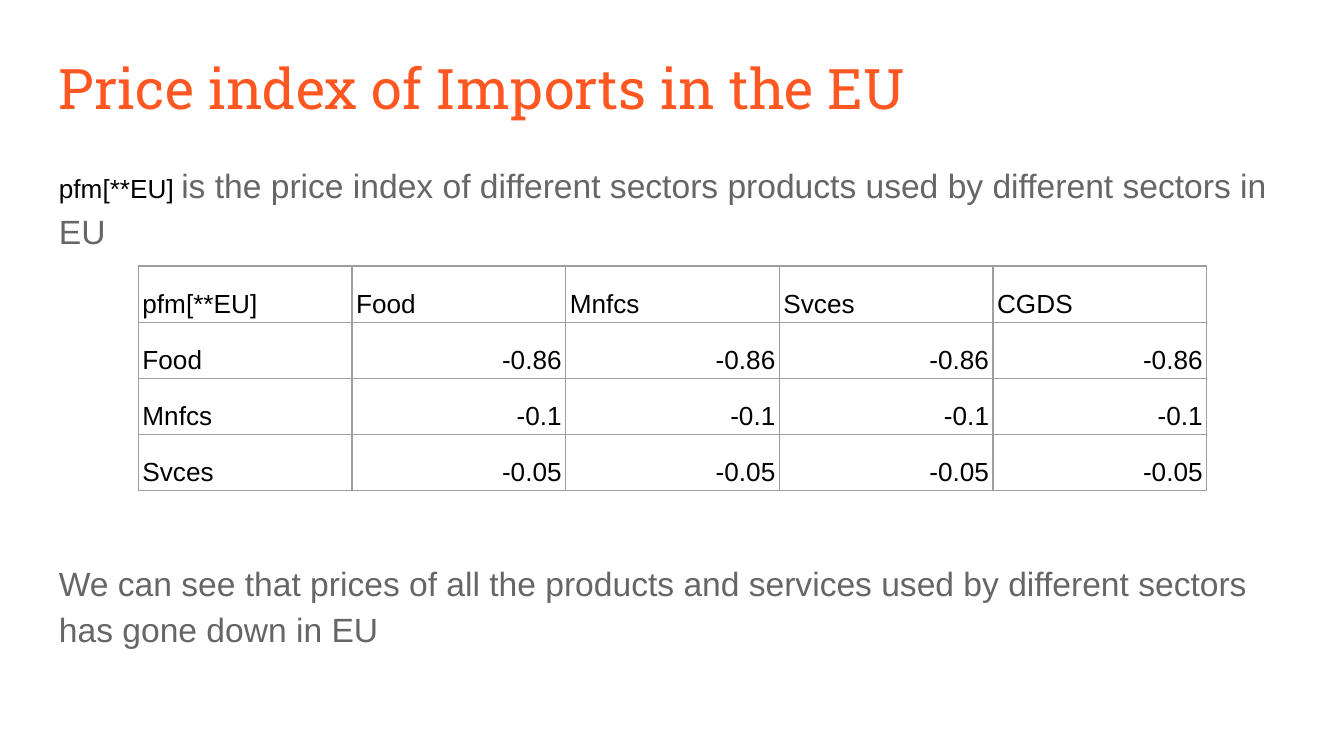
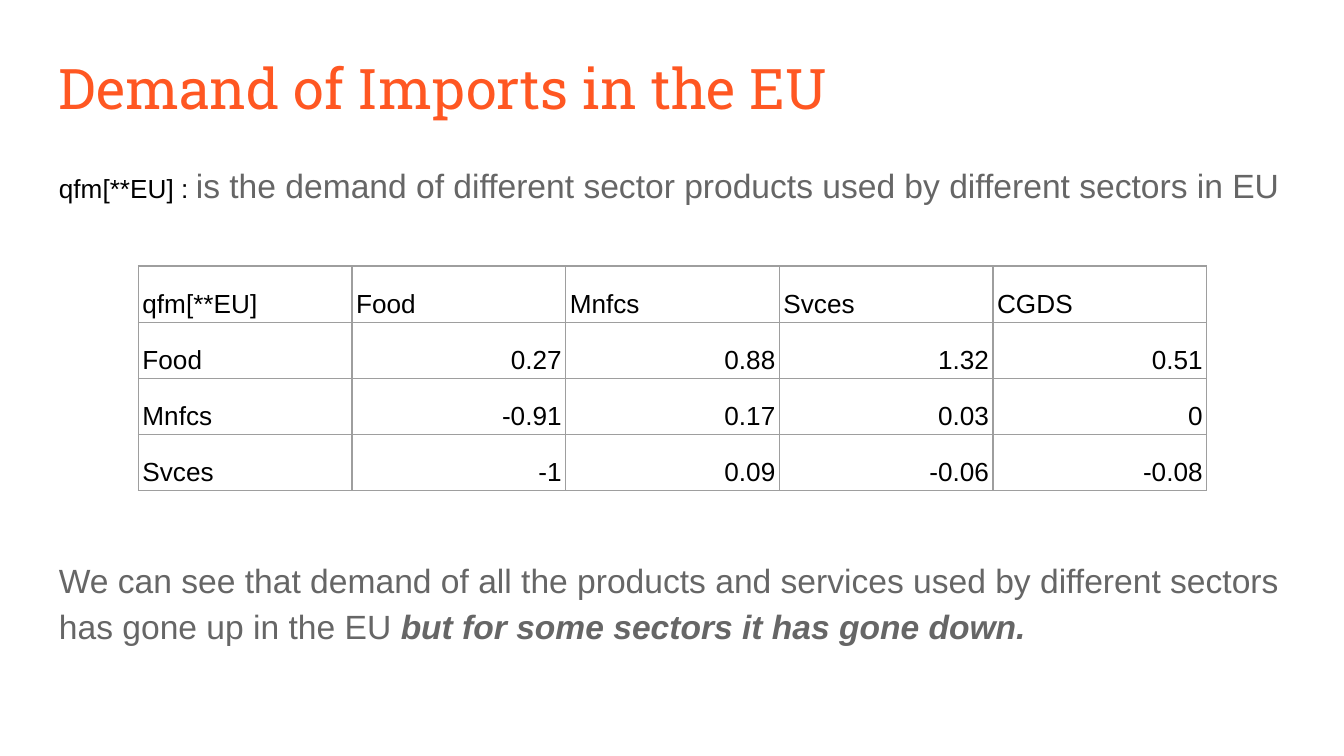
from lxml import etree
from pptx import Presentation
from pptx.dml.color import RGBColor
from pptx.enum import text
from pptx.oxml import ns
from pptx.util import Inches, Pt

ORANGE, GREY, BLACK, BORDER = "FF5722", "666666", "000000", "9E9E9E"
TITLE_STYLE = ("Roboto Slab", 30, ORANGE)
BODY_STYLE = ("Arial", 18, GREY)
CODE_STYLE = ("Arial", 14, BLACK)
LEFT, WIDTH = 0.34, 9.32
COLUMNS = ["Food", "Mnfcs", "Svces", "CGDS"]
COLUMN_WIDTH, ROW_HEIGHT = 1.59, 0.417


def add_run(paragraph, words, style, emphasis=False):
    run = paragraph.add_run()
    run.text = words
    font = run.font
    font.name, font.size = style[0], Pt(style[1])
    font.color.rgb = RGBColor.from_string(style[2])
    font.bold = font.italic = emphasis


def add_text_box(slide, top, height, line_spacing):
    frame = slide.shapes.add_textbox(Inches(LEFT), Inches(top), Inches(WIDTH), Inches(height)).text_frame
    frame.word_wrap = True
    frame.margin_left = frame.margin_right = Inches(0.1)
    frame.margin_top = frame.margin_bottom = Inches(0.1)
    paragraph = frame.paragraphs[0]
    paragraph.line_spacing = line_spacing
    return paragraph


slides = [
    {
        "title": "Price index of Imports in the EU",
        "variable": "pfm[**EU]",
        "separator": " ",
        "definition": "is the price index of different sectors products used by different sectors in EU",
        "rows": [["-0.86"] * 4, ["-0.1"] * 4, ["-0.05"] * 4],
        "finding_top": 4.04,
        "finding": [("We can see that prices of all the products and services used by "
                     "different sectors has gone down in EU", False)],
    },
    {
        "title": "Demand of Imports in the EU",
        "variable": "qfm[**EU]",
        "separator": " : ",
        "definition": "is the demand of different sector products used by different sectors in EU",
        "rows": [["0.27", "0.88", "1.32", "0.51"],
                 ["-0.91", "0.17", "0.03", "0"],
                 ["-1", "0.09", "-0.06", "-0.08"]],
        "finding_top": 4.02,
        "finding": [("We can see that demand of all the products and services used by "
                     "different sectors has gone up in the EU ", False),
                    ("but for some sectors it has gone down.", True)],
    },
]

presentation = Presentation()
presentation.slide_width = Inches(10)
presentation.slide_height = Inches(5.625)

for content in slides:
    slide = presentation.slides.add_slide(presentation.slide_layouts[6])

    title = add_text_box(slide, 0.3, 0.63, 1.0)
    add_run(title, content["title"], TITLE_STYLE)

    definition = add_text_box(slide, 1.08, 0.78, 1.15)
    add_run(definition, content["variable"] + content["separator"], CODE_STYLE)
    add_run(definition, content["definition"], BODY_STYLE)

    grid = [[content["variable"]] + COLUMNS]
    grid += [[sector] + values for sector, values in zip(COLUMNS, content["rows"])]
    table = slide.shapes.add_table(
        len(grid), len(grid[0]), Inches(1.03), Inches(1.98),
        Inches(COLUMN_WIDTH * len(grid[0])), Inches(ROW_HEIGHT * len(grid))).table
    table.first_row = table.horz_banding = False
    for column in table.columns:
        column.width = Inches(COLUMN_WIDTH)
    for row_index, row in enumerate(grid):
        table.rows[row_index].height = Inches(ROW_HEIGHT)
        for column_index, words in enumerate(row):
            cell = table.cell(row_index, column_index)
            cell.vertical_anchor = text.MSO_ANCHOR.BOTTOM
            cell.margin_left = cell.margin_right = Inches(0.03)
            cell.margin_top = cell.margin_bottom = Inches(0.02)
            properties = cell._tc.get_or_add_tcPr()
            for side in ("lnL", "lnR", "lnT", "lnB"):
                line = etree.SubElement(properties, ns.qn("a:" + side), w=str(Pt(0.75)))
                fill = etree.SubElement(line, ns.qn("a:solidFill"))
                etree.SubElement(fill, ns.qn("a:srgbClr"), val=BORDER)
            cell.fill.background()
            paragraph = cell.text_frame.paragraphs[0]
            paragraph.line_spacing = 1.15
            if row_index and column_index:
                paragraph.alignment = text.PP_ALIGN.RIGHT
            add_run(paragraph, words, CODE_STYLE)

    finding = add_text_box(slide, content["finding_top"], 1.01, 1.15)
    for words, emphasis in content["finding"]:
        add_run(finding, words, BODY_STYLE, emphasis)

presentation.save("out.pptx")
